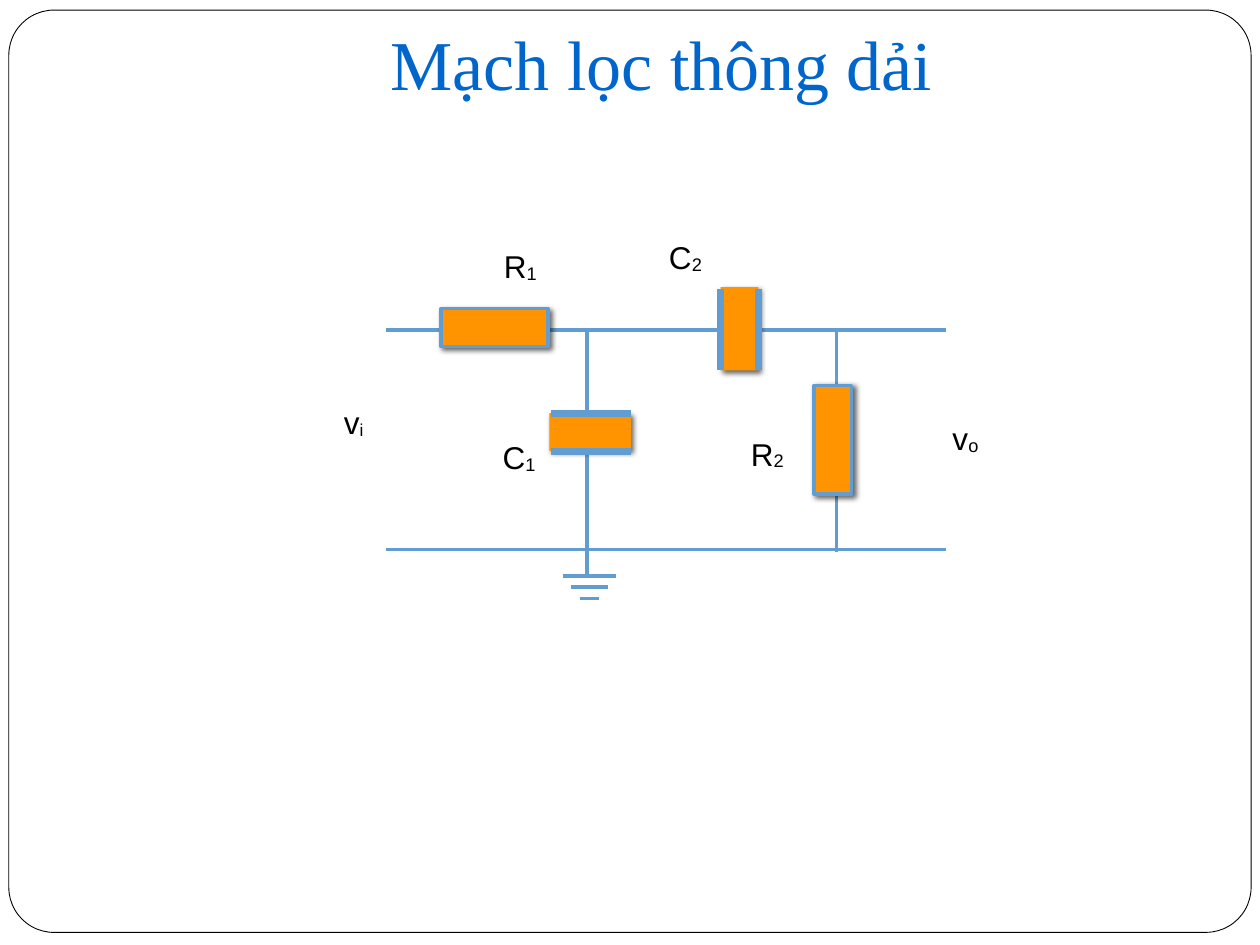
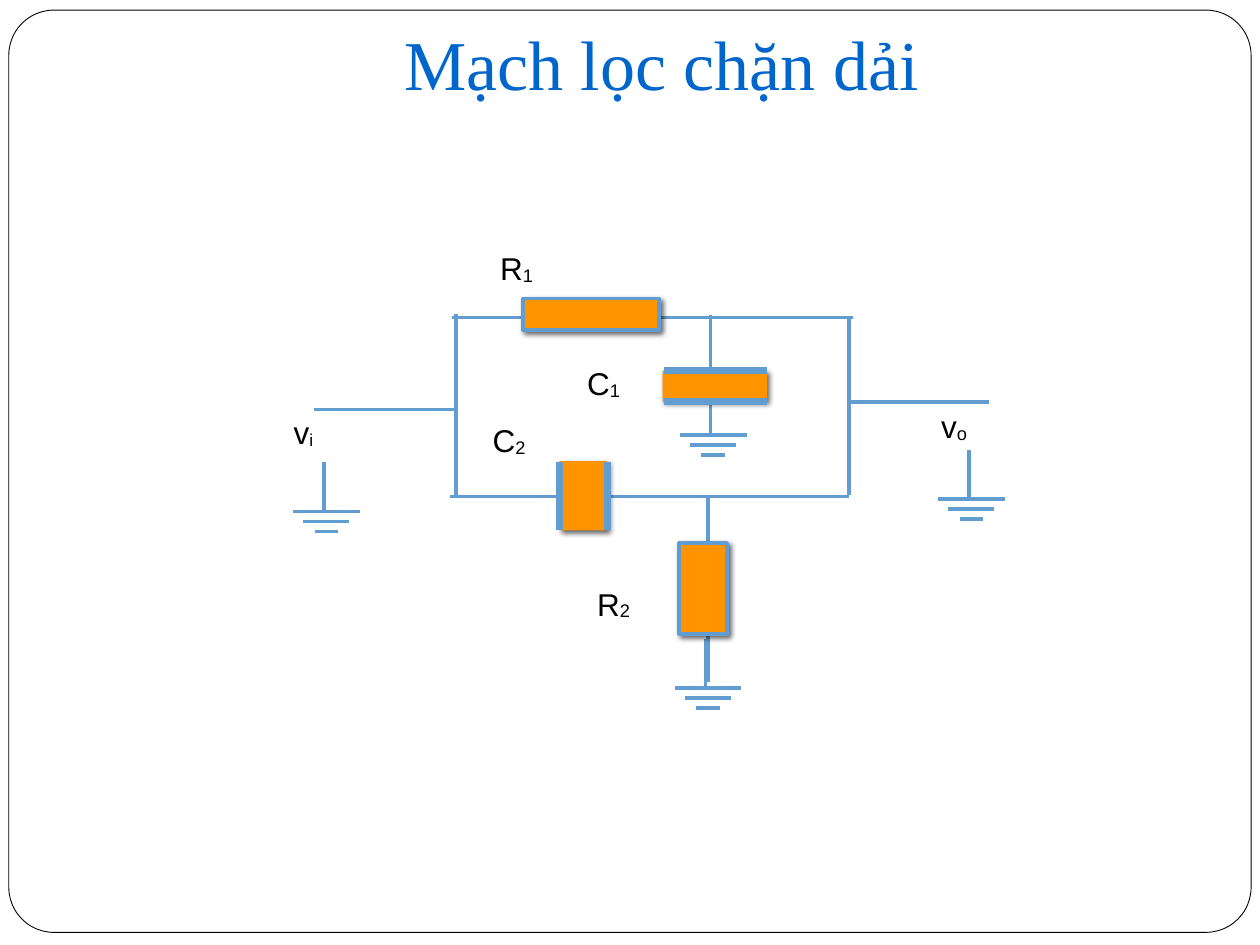
import pptx
import pptx.dml.color
import pptx.enum.shapes
import pptx.enum.text
import pptx.oxml
import pptx.oxml.ns
import pptx.util
from lxml import etree

Inches = pptx.util.Inches
Pt = pptx.util.Pt
MSO_SHAPE = pptx.enum.shapes.MSO_SHAPE

WHITE, BLACK = "FFFFFF", "000000"
TITLE_BLUE, WIRE_BLUE, ORANGE = "0066CC", "629DD1", "FF9300"
WIRE_WIDTH, PLATE_WIDTH = 2.08, 4
EFFECTS = pptx.oxml.ns.qn("a:effectLst")
SHADOW = (
    f'<a:effectLst {pptx.oxml.ns.nsdecls("a")}>'
    '<a:outerShdw blurRad="38100" dist="25400" dir="2700000" rotWithShape="0">'
    f'<a:srgbClr val="{BLACK}"><a:alpha val="60000"/></a:srgbClr>'
    '</a:outerShdw></a:effectLst>'
)


def color(fill, hex_code):
    fill.solid()
    fill.fore_color.rgb = pptx.dml.color.RGBColor.from_string(hex_code)


def add_wire(slide, x1, y1, x2, y2, width=WIRE_WIDTH):
    wire = slide.shapes.add_connector(
        pptx.enum.shapes.MSO_CONNECTOR.STRAIGHT,
        Inches(x1), Inches(y1), Inches(x2), Inches(y2))
    color(wire.line.fill, WIRE_BLUE)
    wire.line.width = Pt(width)
    etree.SubElement(wire._element.spPr, EFFECTS)


circuits = [
    {
        "title": "Mạch lọc thông dải",
        "wires": [(3.06, 2.62, 7.51, 2.62), (3.06, 4.36, 7.51, 4.36),
                  (4.66, 2.61, 4.66, 4.38), (6.64, 2.61, 6.64, 4.38)],
        "grounds": [(4.68, 4.57, 0.42, 0.09)],
        "resistors": [(3.5, 2.45, 0.85, 0.3), (6.46, 3.06, 0.3, 0.86)],
        "capacitors": [(4.36, 3.28, 0.65, 0.3), (5.72, 2.28, 0.3, 0.66)],
        "label_size": (0.73, 0.7),
        "labels": [("R", "1", 3.95, 1.91), ("C", "1", 3.94, 3.43),
                   ("C", "2", 5.26, 1.84), ("R", "2", 5.91, 3.4),
                   ("v", "i", 2.68, 3.15), ("v", "o", 7.51, 3.28)],
    },
    {
        "title": "Mạch lọc chặn dải",
        "wires": [(3.59, 2.52, 6.77, 2.52), (3.57, 3.94, 6.74, 3.94),
                  (3.62, 3.94, 3.62, 2.49), (6.74, 3.93, 6.74, 2.53),
                  (2.49, 3.25, 3.62, 3.25), (6.72, 3.19, 7.85, 3.19),
                  (5.64, 2.5, 5.64, 3.45), (5.62, 3.93, 5.62, 5.41)],
        "grounds": [(5.66, 3.45, 0.53, 0.08), (5.62, 5.46, 0.53, 0.08),
                    (2.59, 4.06, 0.53, 0.08), (7.71, 3.96, 0.53, 0.08)],
        "resistors": [(4.15, 2.37, 1.08, 0.25), (5.39, 4.31, 0.38, 0.72)],
        "capacitors": [(5.26, 2.94, 0.83, 0.25), (4.44, 3.66, 0.38, 0.55)],
        "label_size": (0.93, 0.58),
        "labels": [("R", "1", 3.92, 1.93), ("C", "1", 4.61, 2.84),
                   ("C", "2", 3.86, 3.29), ("R", "2", 4.69, 4.59),
                   ("v", "i", 2.28, 3.23), ("v", "o", 7.42, 3.18)],
    },
]

deck = pptx.Presentation()
deck.slide_width, deck.slide_height = Inches(10), Inches(7.5)
title_only = deck.slide_layouts[5]
slides = [deck.slides.add_slide(title_only) for _ in circuits]

frame = slides[0].shapes.add_shape(
    MSO_SHAPE.ROUNDED_RECTANGLE, Inches(0.07), Inches(0.08), Inches(9.86), Inches(7.32))
frame.adjustments[0] = 0.049
frame.shadow.inherit = False
color(frame.fill, WHITE)
color(frame.line.fill, BLACK)
frame.line.width = Pt(0.5)
title_only.shapes._spTree.insert(2, frame._element)

for slide, circuit in zip(slides, circuits):
    title = slide.shapes.title
    title.left, title.top = Inches(1), Inches(0.15)
    title.width, title.height = Inches(8.5), Inches(0.73)
    heading = title.text_frame
    heading.text = circuit["title"]
    heading.vertical_anchor = pptx.enum.text.MSO_ANCHOR.BOTTOM
    heading.margin_left = heading.margin_right = Inches(0.05)
    heading.margin_top = heading.margin_bottom = Inches(0.05)
    heading.paragraphs[0].alignment = pptx.enum.text.PP_ALIGN.CENTER
    font = heading.paragraphs[0].font
    font.name, font.size = "Times New Roman", Pt(40)
    color(font.fill, TITLE_BLUE)

    for ends in circuit["wires"]:
        add_wire(slide, *ends)

    for center, top, width, step in circuit["grounds"]:
        add_wire(slide, center - 0.02, top - 0.39, center - 0.02, top + 0.01)
        for row, share in enumerate((1, 0.69, 0.35)):
            half, y = width * share / 2, top + row * step
            add_wire(slide, center - half, y, center + half, y)

    for kind in ("resistors", "capacitors"):
        for x, y, w, h in circuit[kind]:
            body = slide.shapes.add_shape(
                MSO_SHAPE.RECTANGLE, Inches(x), Inches(y), Inches(w), Inches(h))
            color(body.fill, ORANGE)
            if kind == "resistors":
                color(body.line.fill, WIRE_BLUE)
                body.line.width = Pt(WIRE_WIDTH)
            else:
                body.line.fill.background()
            body._element.spPr.append(pptx.oxml.parse_xml(SHADOW))
            if kind == "capacitors" and w > h:
                for plate_y in (y, y + h):
                    add_wire(slide, x + 0.01, plate_y, x + w, plate_y, PLATE_WIDTH)
            elif kind == "capacitors":
                for plate_x in (x, x + w):
                    add_wire(slide, plate_x, y + 0.01, plate_x, y + h, PLATE_WIDTH)

    for symbol, index, x, y in circuit["labels"]:
        w, h = circuit["label_size"]
        label = slide.shapes.add_textbox(Inches(x), Inches(y), Inches(w), Inches(h)).text_frame
        label.word_wrap = True
        label.margin_left = label.margin_right = Inches(0.05)
        label.margin_top = label.margin_bottom = Inches(0.05)
        paragraph = label.paragraphs[0]
        paragraph.font.name, paragraph.font.size = "Arial", Pt(18)
        color(paragraph.font.fill, BLACK)
        paragraph.add_run().text = symbol
        subscript = paragraph.add_run()
        subscript.text = index
        subscript.font._element.set("baseline", "-6000")
        if index == "i":
            subscript.font.size = Pt(17)

deck.save("out.pptx")
